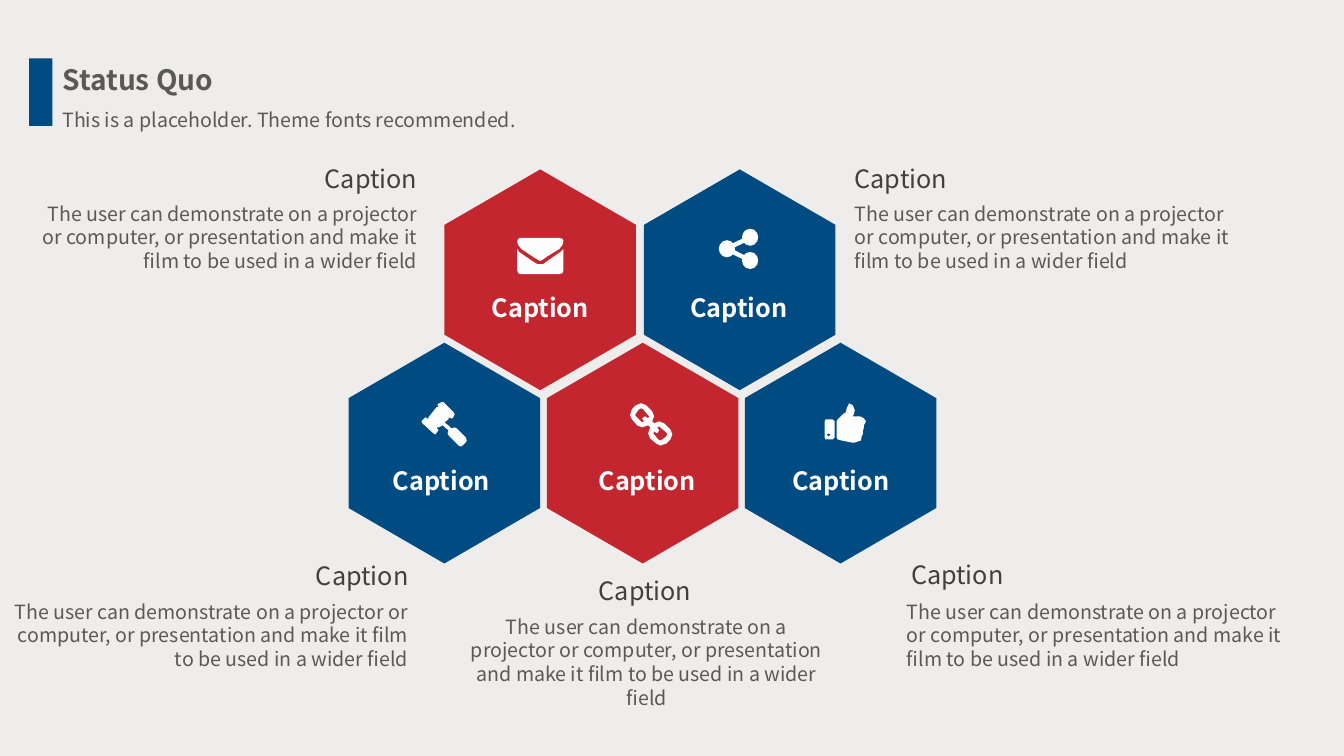
from pptx import Presentation
from pptx.dml.color import RGBColor
from pptx.enum.shapes import MSO_CONNECTOR, MSO_SHAPE
from pptx.enum.text import MSO_ANCHOR, MSO_AUTO_SIZE, PP_ALIGN
from pptx.oxml.ns import qn
from pptx.util import Pt
from lxml import etree

RECT, OVAL = MSO_SHAPE.RECTANGLE, MSO_SHAPE.OVAL
STRAIGHT = MSO_CONNECTOR.STRAIGHT
LEFT, CENTER, RIGHT = PP_ALIGN.LEFT, PP_ALIGN.CENTER, PP_ALIGN.RIGHT
TOP, GROW = MSO_ANCHOR.TOP, MSO_AUTO_SIZE.SHAPE_TO_FIT_TEXT

COLORS = {"back": "EEEDEB", "blue": "004B82", "red": "C3262F",
          "white": "FDFDFD", "body": "595959", "head": "404040"}
FONT = "Noto Sans CJK SC"
UNIT = Pt(0.72)  # one grid step of the outlines below

CAPTION = "Caption"
BODY = ("The user can demonstrate on a projector or computer, or presentation "
        "and make it film to be used in a wider field")

HEXAGON = [[(95, 0), (190, 55), (190, 164), (95, 219), (0, 164), (0, 55)]]
ENVELOPE = [
    [(42, 11), (29, 19), (25, 22), (23, 23), (21, 22), (16, 19), (4, 11), (1, 7),
     (0, 4), (1, 1), (3, 0), (42, 0), (45, 1), (46, 3), (45, 7)],
    [(46, 32), (45, 35), (42, 36), (3, 36), (1, 35), (0, 32), (0, 11), (2, 14),
     (15, 23), (20, 26), (23, 26), (26, 26), (30, 23), (43, 14), (46, 11)]]
GAVEL = [
    [(44, 40), (41, 43), (39, 44), (37, 43), (27, 33), (26, 31), (27, 28), (21, 23),
     (17, 25), (15, 25), (17, 28), (16, 29), (14, 32), (12, 31), (1, 21), (0, 19),
     (3, 16), (4, 15), (7, 17), (7, 15), (15, 5), (17, 5), (16, 3), (16, 2),
     (20, 0), (22, 0), (32, 10), (33, 12), (31, 16), (29, 16), (27, 15), (27, 17),
     (23, 20), (30, 26), (33, 25), (35, 26), (44, 35), (45, 38)]]
LINK = [
    [(40, 36), (36, 40), (30, 42), (26, 40), (20, 35), (18, 30), (20, 24), (18, 22),
     (12, 24), (7, 22), (2, 16), (0, 12), (2, 6), (6, 2), (11, 0), (16, 2),
     (22, 8), (24, 13), (22, 18), (24, 20), (29, 18), (34, 20), (40, 26), (42, 31)],
    [(18, 12), (13, 6), (11, 5), (9, 6), (6, 10), (5, 12), (6, 13), (11, 18),
     (12, 19), (14, 18), (12, 15), (15, 13), (18, 15), (19, 13)],
    [(36, 29), (30, 24), (29, 23), (27, 24), (29, 27), (27, 30), (24, 28), (23, 30),
     (24, 31), (28, 36), (30, 37), (32, 36), (36, 33), (37, 31)]]
THUMB = [
    [(10, 34), (8, 36), (1, 36), (0, 34), (0, 18), (1, 16), (8, 16), (10, 18)],
    [(4, 30), (2, 31), (4, 33), (6, 31)],
    [(39, 22), (39, 24), (38, 28), (38, 31), (37, 32), (36, 37), (30, 39), (27, 39),
     (17, 37), (13, 36), (12, 34), (12, 18), (13, 16), (18, 11), (21, 9), (22, 5),
     (24, 1), (24, 0), (28, 2), (30, 7), (29, 11), (28, 13), (35, 13), (39, 15),
     (41, 18)]]

# colour, left, top, caption left
HEXAGONS = [("red", 317.5, 121, 320.4), ("blue", 460, 121, 462.2),
            ("blue", 249, 244.8, 249.8), ("red", 390.7, 244.8, 396.7),
            ("blue", 532, 244.8, 535)]
ICONS = [(ENVELOPE, 369.4, 169.9), (GAVEL, 301, 287.3),
         (LINK, 450, 288), (THUMB, 589, 288)]
# alignment, caption left and top, body left, top and width
NOTES = [(LEFT, 603.4, 113, 603.4, 140.4, 295.2),
         (LEFT, 643.7, 396, 640.8, 424.8, 288),
         (RIGHT, 167.8, 396.7, 0, 424.8, 298.8),
         (RIGHT, 174.2, 113, 23, 140.4, 282.2),
         (CENTER, 395.3, 407.5, 324, 435.6, 275.8)]


def rgb(name):
    return RGBColor.from_string(COLORS[name])


class Painter:
    def __init__(self, slide):
        self.shapes = slide.shapes
        fill = slide.background.fill
        fill.solid()
        fill.fore_color.rgb = rgb("back")

    def paint(self, s, color):
        s.shadow.inherit = False
        s.fill.solid()
        s.fill.fore_color.rgb = rgb(color)
        s.line.fill.background()

    def shape(self, kind, x, y, w, h, color):
        self.paint(self.shapes.add_shape(kind, Pt(x), Pt(y), Pt(w), Pt(h)), color)

    def outline(self, contours, x, y, color):
        """Draw closed contours, given in grid steps from (x, y), as one shape."""
        builder = self.shapes.build_freeform(*contours[0][0], scale=UNIT)
        for i, points in enumerate(contours):
            if i:
                builder.move_to(*points[0])
            builder.add_line_segments(points[1:], close=True)
        self.paint(builder.convert_to_shape(Pt(x), Pt(y)), color)

    def line(self, x1, y1, x2, y2, width, color):
        s = self.shapes.add_connector(STRAIGHT, Pt(x1), Pt(y1), Pt(x2), Pt(y2))
        s.line.width = Pt(width)
        s.line.color.rgb = rgb(color)
        etree.SubElement(s._element.spPr, qn("a:effectLst"))

    def fill_text(self, s, text, size, color, bold=False, align=LEFT, spacing=None):
        tf = s.text_frame
        frame = {"word_wrap": True, "auto_size": GROW, "vertical_anchor": TOP}
        for key, value in frame.items():
            setattr(tf, key, value)
        p = tf.paragraphs[0]
        p.alignment = align
        p.line_spacing = spacing
        r = p.add_run()
        r.text = text
        for key, value in {"name": FONT, "size": Pt(size), "bold": bold}.items():
            setattr(r.font, key, value)
        r.font.color.rgb = rgb(color)

    def title(self, x, y, w, h, text, size, color):
        s = self.shapes.title
        box = {"left": x, "top": y, "width": w, "height": h}
        for key, value in box.items():
            setattr(s, key, Pt(value))
        self.fill_text(s, text, size, color, bold=True)

    def text(self, x, y, w, h, text, size, color, **style):
        s = self.shapes.add_textbox(Pt(x), Pt(y), Pt(w), Pt(h))
        self.fill_text(s, text, size, color, **style)

    def caption(self, x, y, color, **style):
        self.text(x, y, 131, 28.8, CAPTION, 18, color, **style)

    def share_icon(self, x, y):
        nodes = [(x, y + 8.2), (x + 16.6, y), (x + 16.6, y + 16.6)]
        hub_x, hub_y = nodes[0]
        for node_x, node_y in nodes:
            self.shape(OVAL, node_x, node_y, 11.6, 12.2, "white")
        for node_x, node_y in nodes[1:]:
            self.line(hub_x + 5.8, hub_y + 6.1, node_x + 5.8, node_y + 6.1,
                      3.2, "white")


def main():
    prs = Presentation()
    prs.slide_width, prs.slide_height = Pt(960), Pt(540)
    painter = Painter(prs.slides.add_slide(prs.slide_layouts[5]))

    painter.shape(RECT, 20.9, 41.8, 16.6, 48.2, "blue")
    painter.title(37.4, 41, 354.2, 31.7, "Status Quo", 20, "body")
    painter.text(37.4, 64.8, 483.8, 27.4,
                 "This is a placeholder. Theme fonts recommended.",
                 14, "body", spacing=1.5)

    for align, head_x, head_y, x, y, w in NOTES:
        painter.text(x, y, w, 58.3, BODY, 14, "body", align=align)
        painter.caption(head_x, head_y, "head", align=align)

    for color, x, y, _ in HEXAGONS:
        painter.outline(HEXAGON, x, y, color)
    for contours, x, y in ICONS:
        painter.outline(contours, x, y, "white")
    painter.share_icon(513.4, 163.4)
    for _, _, y, caption_x in HEXAGONS:
        painter.caption(caption_x, y + 84, "white", bold=True, align=CENTER)

    prs.save("out.pptx")


if __name__ == "__main__":
    main()
